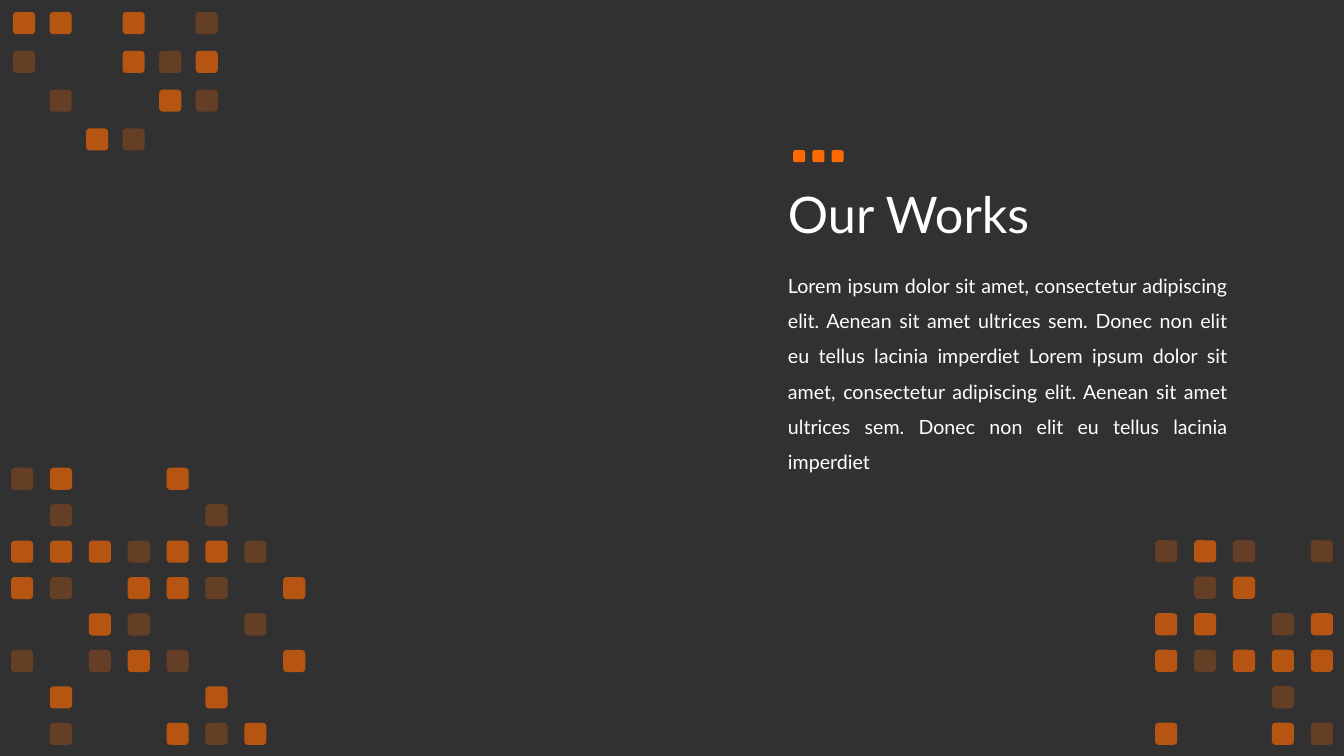
from lxml import etree
from pptx import Presentation
from pptx.dml.color import RGBColor
from pptx.enum.shapes import MSO_SHAPE
from pptx.enum.text import MSO_ANCHOR, PP_ALIGN
from pptx.oxml.ns import qn
from pptx.util import Pt

ROUND = MSO_SHAPE.ROUNDED_RECTANGLE
TOP, MIDDLE = MSO_ANCHOR.TOP, MSO_ANCHOR.MIDDLE
LEFT, JUSTIFY = PP_ALIGN.LEFT, PP_ALIGN.JUSTIFY
COLORS = {"back": "313131", "orange": "FE6902", "text": "FFFFFF"}
ALPHA = {"o": 25, "#": 65, "@": 100}  # opacity in percent for each grid mark

# left, top, column pitch, row pitch, square size, rows of marks
GRIDS = [
    (9.3, 8.6, 26.1, 27.7, 15.8, [
        "##.#.o",
        "o..#o#",
        ".o..#o",
        "..#o..",
    ]),
    (7.9, 334.1, 27.77, 26.03, 15.8, [
        "o#..#...",
        ".o...o..",
        "###o##o.",
        "#o.##o.#",
        "..#o..o.",
        "o.o#o..#",
        ".#...#..",
        ".o..#o#.",
    ]),
    (825.1, 385.9, 27.8, 26.07, 15.8, [
        "o#o.o",
        ".o#..",
        "##.o#",
        "#o###",
        "...o.",
        "#..#o",
    ]),
    (566.6, 107.3, 13.7, 0, 8.6, ["@@@"]),
]

BODY = (
    "Lorem ipsum dolor sit amet, consectetur adipiscing elit. Aenean sit amet "
    "ultrices sem. Donec non elit eu tellus lacinia imperdiet Lorem ipsum dolor "
    "sit amet, consectetur adipiscing elit. Aenean sit amet ultrices sem. Donec "
    "non elit eu tellus lacinia imperdiet"
)
# text, top, width, height, anchor, alignment, line spacing, font size
TEXTS = [
    ("Our Works", 103, 404, 104.4, MIDDLE, LEFT, 0.9, 36),
    (BODY, 183.6, 328.3, 131, TOP, JUSTIFY, 1.5, 14),
]

prs = Presentation()
prs.slide_width, prs.slide_height = Pt(960), Pt(540)
slide = prs.slides.add_slide(prs.slide_layouts[6])
back = slide.background.fill
back.solid()
back.fore_color.rgb = RGBColor.from_string(COLORS["back"])

for left, top, dx, dy, size, rows in GRIDS:
    for r, row in enumerate(rows):
        for c, mark in enumerate(row):
            if mark == ".":
                continue
            square = slide.shapes.add_shape(
                ROUND, Pt(left + c * dx), Pt(top + r * dy), Pt(size), Pt(size))
            square.shadow.inherit = False
            square.line.fill.background()
            square.fill.solid()
            square.fill.fore_color.rgb = RGBColor.from_string(COLORS["orange"])
            if ALPHA[mark] < 100:
                color = square.fill._xPr.find(".//" + qn("a:srgbClr"))
                alpha = etree.SubElement(color, qn("a:alpha"))
                alpha.set("val", str(ALPHA[mark] * 1000))

for text, top, width, height, anchor, align, spacing, size in TEXTS:
    box = slide.shapes.add_textbox(Pt(555.8), Pt(top), Pt(width), Pt(height))
    frame = box.text_frame
    frame.word_wrap = True
    frame.vertical_anchor = anchor
    para = frame.paragraphs[0]
    para.text = text
    para.alignment = align
    para.line_spacing = spacing
    para.font.name = "Lato"
    para.font.size = Pt(size)
    para.font.color.rgb = RGBColor.from_string(COLORS["text"])

prs.save("out.pptx")
